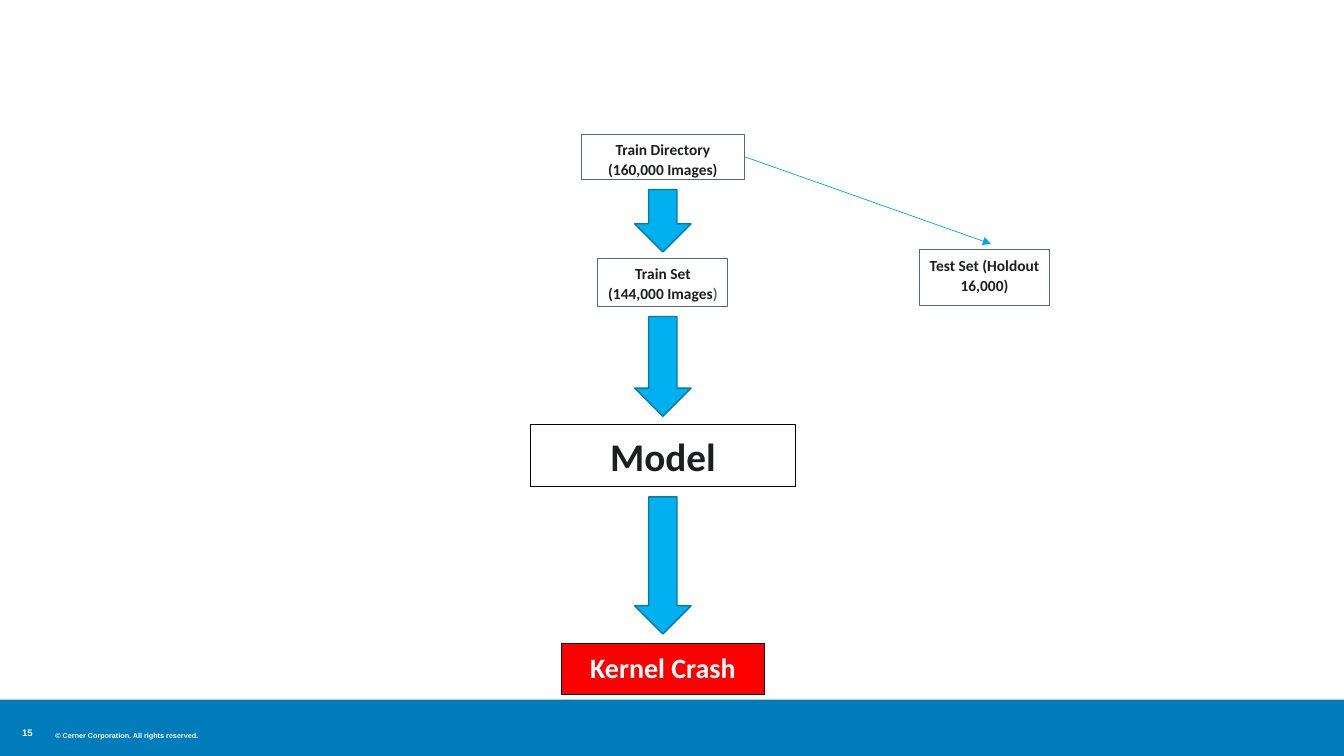
import pptx
import pptx.util
import pptx.dml.color
import pptx.enum.shapes
import pptx.enum.text
import pptx.oxml
import pptx.oxml.ns

Inches = pptx.util.Inches
Pt = pptx.util.Pt
RGBColor = pptx.dml.color.RGBColor
Shape = pptx.enum.shapes.MSO_SHAPE

WHITE = RGBColor(0xFF, 0xFF, 0xFF)
BLACK = RGBColor(0, 0, 0)
INK = RGBColor(0x1D, 0x1E, 0x20)
GREY = RGBColor(0x5C, 0x67, 0x70)
RED = RGBColor(0xFF, 0, 0)
BLUE = RGBColor(0x00, 0x7C, 0xBA)
SKY = RGBColor(0x00, 0xB0, 0xF0)
RIM = RGBColor(0x00, 0x7C, 0xA6)
CYAN = RGBColor(0x00, 0xA8, 0xE1)

MID = 6.575  # shared centre line of the flow


def draw(slide, kind, box, fill, line=None, width=0.75):
    shape = slide.shapes.add_shape(kind, *map(Inches, box))
    shape.shadow.inherit = False
    shape.fill.solid()
    shape.fill.fore_color.rgb = fill
    if line is None:
        shape.line.fill.background()
    else:
        shape.line.color.rgb = line
        shape.line.width = Pt(width)
    return shape


def style(para, face, size, color):
    para.font.name = face
    para.font.size = Pt(size)
    para.font.bold = True
    para.font.color.rgb = color


def add_step(slide, box, text, size=11, color=INK, fill=WHITE, line=GREY):
    step = draw(slide, Shape.RECTANGLE, box, fill, line)
    frame = step.text_frame
    frame.word_wrap = True
    frame.vertical_anchor = pptx.enum.text.MSO_ANCHOR.TOP
    para = frame.paragraphs[0]
    para.add_run().text = text
    para.alignment = pptx.enum.text.PP_ALIGN.CENTER
    para.line_spacing = 1.07
    para.space_after = Pt(8)
    style(para, "Calibri", size, color)
    return step


def add_flow(slide, mid):
    """Stack the steps and block arrows on one centre line."""
    def place(top, width, height):
        return mid - width / 2, top, width, height

    start = add_step(slide, place(1.33, 1.62, 0.45),
                     "Train Directory (160,000 Images)")
    train = add_step(slide, place(2.56, 1.29, 0.48),
                     "Train Set (144,000 Images")
    end = train.text_frame.paragraphs[0].add_run()
    end.text = ")"
    end.font.color.rgb = GREY
    add_step(slide, place(4.21, 2.63, 0.62), "Model", 28, line=BLACK)
    add_step(slide, place(6.38, 2.01, 0.51), "Kernel Crash", 20,
             WHITE, RED, BLACK)
    for top, height in ((1.88, 0.62), (3.14, 0.99), (4.93, 1.36)):
        draw(slide, Shape.DOWN_ARROW, place(top, 0.56, height), SKY, RIM, 1)
    return start


def add_branch(slide, start, box):
    """Place the test set and the thin arrow that leads to it."""
    add_step(slide, box, "Test Set (Holdout 16,000)")
    left, top, width, _ = box
    link = slide.shapes.add_connector(
        pptx.enum.shapes.MSO_CONNECTOR.STRAIGHT, 0, 0,
        Inches(left + width * 0.55), Inches(top - 0.06))
    link.begin_connect(start, 3)
    link.line.color.rgb = CYAN
    link.line.width = Pt(0.5)
    make = pptx.oxml.ns.qn
    tail = link.line._get_or_add_ln().makeelement(
        make("a:tailEnd"), {"type": "triangle"})
    link.line._get_or_add_ln().append(tail)
    props = link._element.spPr
    props.append(props.makeelement(make("a:effectLst"), {}))


def add_note(slide, box, text, size, wrap):
    note = slide.shapes.add_textbox(*map(Inches, box))
    frame = note.text_frame
    frame.word_wrap = wrap
    frame.margin_left = frame.margin_right = 0
    frame.margin_top = frame.margin_bottom = 0
    para = frame.paragraphs[0]
    para.text = text
    style(para, "Arial", size, WHITE)


def add_footer(slide, box):
    left, top, _, _ = box
    draw(slide, Shape.RECTANGLE, box, BLUE)
    add_note(slide, (left + 0.55, top + 0.31, 1.46, 0.09),
             "© Cerner Corporation. All rights reserved.", 5.2, False)
    add_note(slide, (left + 0.22, top + 0.27, 0.33, 0.11), "15", 6.8, True)


def main():
    deck = pptx.Presentation()
    deck.slide_width = Inches(13.33)
    deck.slide_height = Inches(7.5)
    slide = deck.slides.add_slide(deck.slide_layouts[6])
    add_footer(slide, (0, 6.94, 13.33, 0.56))
    start = add_flow(slide, MID)
    add_branch(slide, start, (9.12, 2.48, 1.29, 0.55))
    deck.save("out.pptx")


if __name__ == "__main__":
    main()
